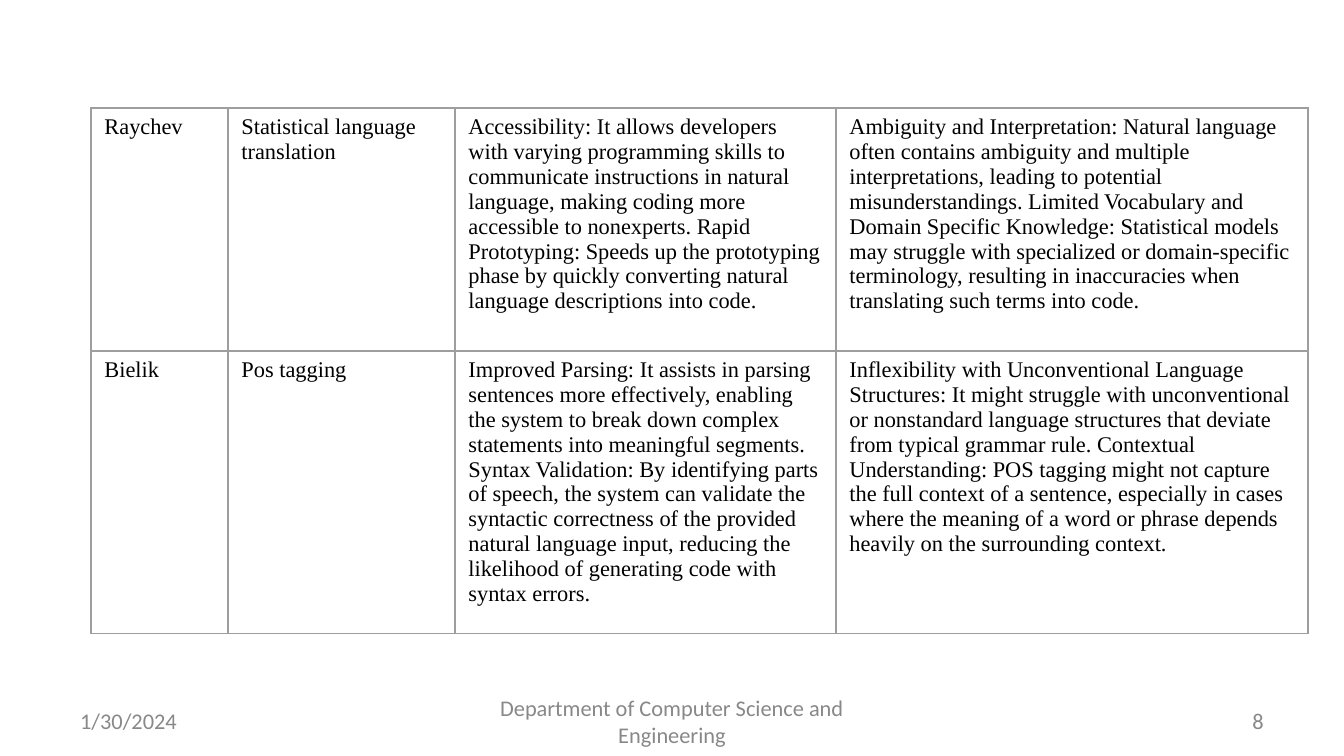
import pptx
import pptx.util
import pptx.dml.color
import pptx.enum.text
import pptx.oxml
import pptx.oxml.ns

BLACK = pptx.dml.color.RGBColor(0x00, 0x00, 0x00)
GRAY = pptx.dml.color.RGBColor(0x88, 0x88, 0x88)
BORDER = pptx.dml.color.RGBColor(0x9E, 0x9E, 0x9E)
ALIGN = pptx.enum.text.PP_ALIGN

# Content
ROWS = [
    ("Raychev",
     "Statistical language translation",
     "Accessibility: It allows developers with varying programming skills to "
     "communicate instructions in natural language, making coding more "
     "accessible to nonexperts. Rapid Prototyping: Speeds up the prototyping "
     "phase by quickly converting natural language descriptions into code.",
     "Ambiguity and Interpretation: Natural language often contains ambiguity "
     "and multiple interpretations, leading to potential misunderstandings. "
     "Limited Vocabulary and Domain Specific Knowledge: Statistical models may "
     "struggle with specialized or domain-specific terminology, resulting in "
     "inaccuracies when translating such terms into code."),
    ("Bielik",
     "Pos tagging",
     "Improved Parsing: It assists in parsing sentences more effectively, "
     "enabling the system to break down complex statements into meaningful "
     "segments. Syntax Validation: By identifying parts of speech, the system "
     "can validate the syntactic correctness of the provided natural language "
     "input, reducing the likelihood of generating code with syntax errors.",
     "Inflexibility with Unconventional Language Structures: It might struggle "
     "with unconventional or nonstandard language structures that deviate from "
     "typical grammar rule. Contextual Understanding: POS tagging might not "
     "capture the full context of a sentence, especially in cases where the "
     "meaning of a word or phrase depends heavily on the surrounding context."),
]
# Footer: text, left, width, alignment
FOOTER = [
    ("1/30/2024", 67, 314, ALIGN.LEFT),
    ("Department of Computer Science and Engineering", 459, 426, ALIGN.CENTER),
    ("8", 963, 314, ALIGN.RIGHT),
]

# Layout in px
SLIDE_W, SLIDE_H = 1344, 756
TABLE_LEFT, TABLE_TOP = 91, 108
COL_WIDTHS = [137, 227, 381, 472]
ROW_HEIGHTS = [243, 263]
FOOTER_TOP, FOOTER_H = 701, 40


def px(n):
    return pptx.util.Emu(round(n * 914400 / 134.4))


def add_text(tf, text, font, color, align=ALIGN.LEFT):
    p = tf.paragraphs[0]
    p.alignment = align
    r = p.add_run()
    r.text = text
    r.font.name = font
    r.font.size = pptx.util.Pt(12)
    r.font.color.rgb = color


def set_borders(cell):
    tc_pr = cell._tc.get_or_add_tcPr()
    for i, side in enumerate(("lnL", "lnR", "lnT", "lnB")):
        tc_pr.insert(i, pptx.oxml.parse_xml(
            f'<a:{side} {pptx.oxml.ns.nsdecls("a")} w="{pptx.util.Pt(0.75)}">'
            f'<a:solidFill><a:srgbClr val="{BORDER}"/></a:solidFill></a:{side}>'))


prs = pptx.Presentation()
prs.slide_width, prs.slide_height = px(SLIDE_W), px(SLIDE_H)
s = prs.slides.add_slide(prs.slide_layouts[6])

# Footer
for text, left, width, align in FOOTER:
    sp = s.shapes.add_textbox(px(left), px(FOOTER_TOP), px(width), px(FOOTER_H))
    tf = sp.text_frame
    tf.word_wrap = True
    tf.vertical_anchor = pptx.enum.text.MSO_ANCHOR.MIDDLE
    add_text(tf, text, "Calibri", GRAY, align)

# Comparison table
table = s.shapes.add_table(
    len(ROWS), len(COL_WIDTHS), px(TABLE_LEFT), px(TABLE_TOP),
    px(sum(COL_WIDTHS)), px(sum(ROW_HEIGHTS))).table
table.first_row = table.horz_banding = False
for col, width in zip(table.columns, COL_WIDTHS):
    col.width = px(width)
for row, height, texts in zip(table.rows, ROW_HEIGHTS, ROWS):
    row.height = px(height)
    for cell, text in zip(row.cells, texts):
        cell.fill.background()
        set_borders(cell)
        add_text(cell.text_frame, text, "Times New Roman", BLACK)

prs.save("out.pptx")
